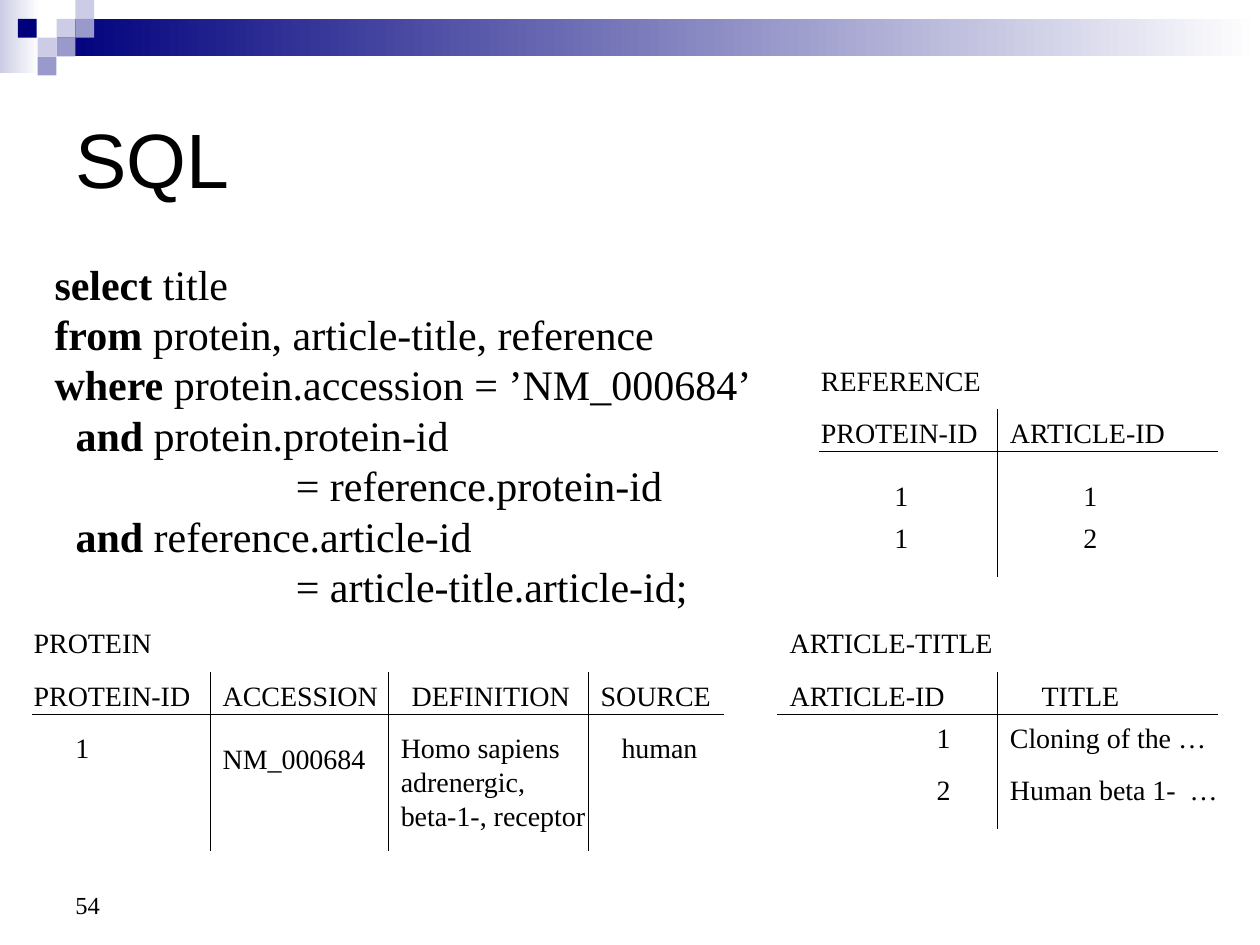
from pptx import Presentation
from pptx.dml.color import RGBColor
from pptx.enum.shapes import MSO_CONNECTOR, MSO_SHAPE
from pptx.enum.text import MSO_ANCHOR, MSO_AUTO_SIZE
from pptx.util import Cm, Pt
from lxml.etree import SubElement
from pptx.oxml.ns import qn

COLORS = {"navy": "00007D", "mid": "9999CC", "pale": "CCCCE6",
          "white": "FFFFFF", "black": "000000"}
RGB = {name: RGBColor.from_string(code) for name, code in COLORS.items()}
SERIF = "Times New Roman"

deck = Presentation()
deck.slide_width, deck.slide_height = Cm(25.4), Cm(19.05)
slide = deck.slides.add_slide(deck.slide_layouts[6])


def add_block(x, y, w, h, color, fade=False):
    """Add a plain rectangle, fading to white on the right if asked."""
    block = slide.shapes.add_shape(MSO_SHAPE.RECTANGLE, Cm(x), Cm(y), Cm(w), Cm(h))
    block.shadow.inherit = False
    block.line.fill.background()
    if fade:
        block.fill.gradient()
        block.fill.gradient_angle = 0
        for stop, tone in zip(block.fill.gradient_stops, (color, "white")):
            stop.color.rgb = RGB[tone]
    else:
        block.fill.solid()
        block.fill.fore_color.rgb = RGB[color]


def add_text(x, y, w, h, lines, size=16, font=SERIF, wrap=False, anchor=MSO_ANCHOR.TOP):
    """Add a text box; each line is a list of (text, bold) runs."""
    box = slide.shapes.add_textbox(Cm(x), Cm(y), Cm(w), Cm(h))
    frame = box.text_frame
    frame.word_wrap = wrap
    if not wrap:
        frame.auto_size = MSO_AUTO_SIZE.SHAPE_TO_FIT_TEXT
    frame.vertical_anchor = anchor
    for i, line in enumerate(lines):
        para = frame.add_paragraph() if i else frame.paragraphs[0]
        para.font.size, para.font.name = Pt(size), font
        para.font.color.rgb = RGB["black"]
        for text, bold in line:
            run = para.add_run()
            run.text = text
            if bold:
                run.font.bold = True


# Header band and squares
add_block(0, 0, 0.79, 1.47, "pale", fade=True)
add_block(1.14, 0.38, 24.26, 0.76, "navy", fade=True)
side = 0.38
squares = [(3, 1, "pale"), (4, 0, "pale"), (4, 1, "mid"), (2, 2, "pale"),
           (0.95, 1, "navy"), (3, 2, "mid"), (2, 3, "mid")]
for col, row, color in squares:
    add_block(col * side, row * side, side, side, color)

# Title, page number and query
add_text(1.27, 1.27, 22.86, 3.81, [[("SQL", False)]], 44, "Arial", True, MSO_ANCHOR.MIDDLE)
add_text(1.27, 17.35, 5.92, 1.32, [[("54", False)]], 14, wrap=True, anchor=MSO_ANCHOR.BOTTOM)
query = [
    [("select", True), (" title", False)],
    [("from", True), (" protein, article-title, reference", False)],
    [("where", True), (" protein.accession = ’NM_000684’", False)],
    [("  ", False), ("and ", True), ("protein.protein-id", False)],
    [("                       = reference.protein-id", False)],
    [("  ", False), ("and", True), (" reference.article-id", False)],
    [("                       = article-title.article-id;", False)],
]
add_text(0.85, 5.08, 14.58, 7.37, query, 24)

# Table labels: left, top, width, text
labels = [
    (0.43, 12.49, 3.02, "PROTEIN"),
    (0.43, 13.55, 3.66, "PROTEIN-ID"),
    (4.24, 13.55, 3.63, "ACCESSION"),
    (8.05, 13.55, 3.7, "DEFINITION"),
    (11.86, 13.55, 2.74, "SOURCE"),
    (1.27, 14.6, 0.79, "1"),
    (4.24, 14.82, 3.38, "NM_000684"),
    (12.28, 14.6, 2.05, "human"),
    (15.67, 12.49, 4.62, "ARTICLE-TITLE"),
    (15.67, 13.55, 3.66, "ARTICLE-ID"),
    (20.75, 13.55, 2.08, "TITLE"),
    (18.63, 14.4, 0.79, "1"),
    (20.11, 14.4, 4.47, "Cloning of the …"),
    (18.63, 15.45, 0.79, "2"),
    (16.3, 7.2, 3.73, "REFERENCE"),
    (16.3, 8.25, 3.66, "PROTEIN-ID"),
    (20.11, 8.25, 3.66, "ARTICLE-ID"),
    (17.78, 9.53, 0.79, "1"),
    (21.59, 9.53, 0.79, "1"),
    (17.78, 10.37, 0.79, "1"),
    (21.59, 10.37, 0.79, "2"),
]
for x, y, w, text in labels:
    add_text(x, y, w, 0.94, [[(text, False)]])
add_text(20.11, 15.45, 5.28, 0.94, [[("Human beta 1-  …", False)]], wrap=True)
add_text(7.83, 14.61, 4.34, 2.29, [[("Homo sapiens adrenergic,", False)],
                                   [("beta-1-, receptor", False)]], wrap=True)

# Table rules: head line (left, right, y), then column lines (xs, top, bottom)
grids = [
    ((0.64, 14.6, 14.4), (4.24, 7.83, 11.86), 13.55, 17.15),
    ((15.67, 24.55, 14.4), (20.11,), 13.55, 16.72),
    ((16.51, 24.55, 9.1), (20.11,), 8.25, 11.64),
]
for (left, right, head), cols, top, foot in grids:
    rules = [(left, head, right, head)] + [(x, top, x, foot) for x in cols]
    for ends in rules:
        rule = slide.shapes.add_connector(MSO_CONNECTOR.STRAIGHT, *map(Cm, ends))
        rule.line.color.rgb = RGB["black"]
        rule.line.width = Pt(0.75)
        SubElement(rule._element.spPr, qn("a:effectLst"))

deck.save("out.pptx")
